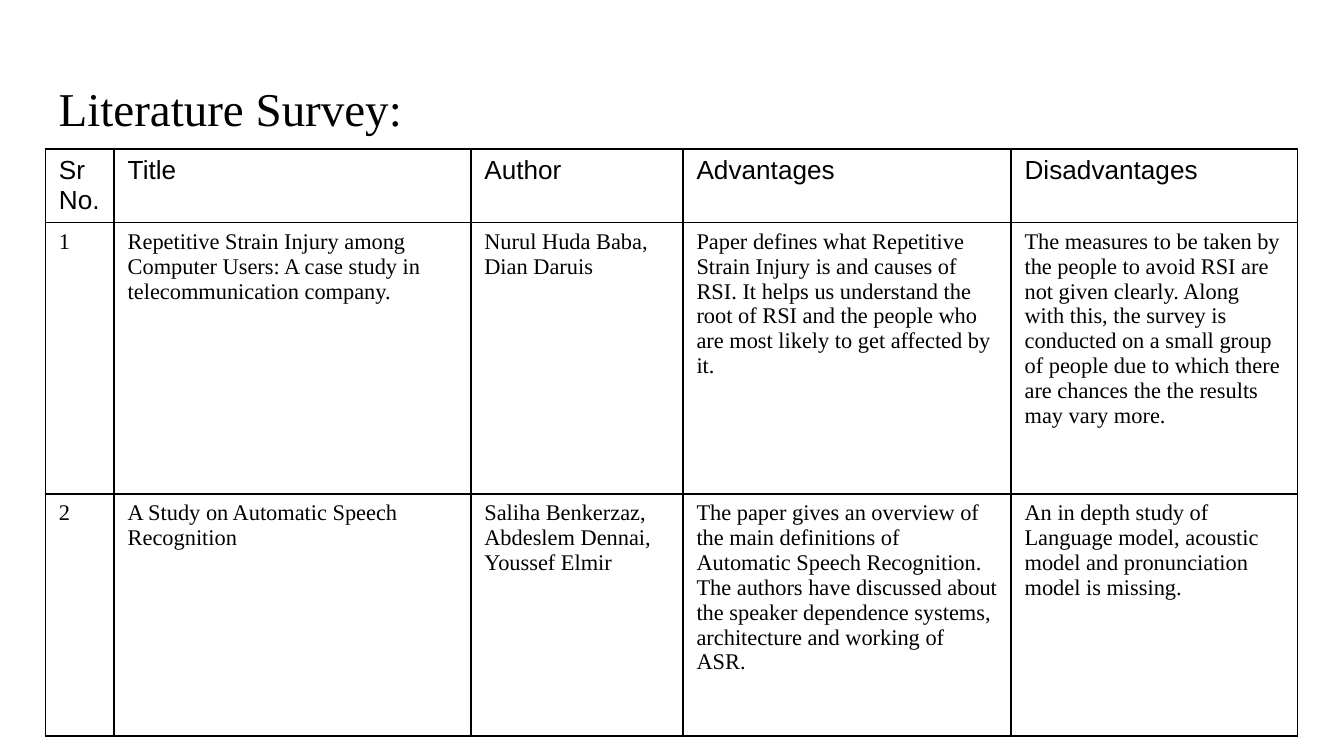
"""Build the literature survey slide: a title above a bordered table of papers."""
import dataclasses

import lxml.etree
import pptx
import pptx.dml.color
import pptx.enum.text
import pptx.oxml.ns
import pptx.util

BLACK = "000000"
SERIF = "Times New Roman"
SANS = "Arial"
LEFT = pptx.util.Cm(0.86)
WIDTH = pptx.util.Cm(23.67)
COLUMN_WIDTHS = (1.3, 6.74, 4.01, 6.2, 5.41)
ROW_HEIGHTS = (1.39, 5.13, 4.57)
HEADINGS = ("Sr No.", "Title", "Author", "Advantages", "Disadvantages")


@dataclasses.dataclass(frozen=True)
class Paper:
    number: str
    title: str
    authors: str
    advantages: str
    disadvantages: str


PAPERS = (
    Paper(
        "1",
        "Repetitive Strain Injury among Computer Users: A case study in "
        "telecommunication company.",
        "Nurul Huda Baba, Dian Daruis",
        "Paper defines what Repetitive Strain Injury is and causes of RSI. "
        "It helps us understand the root of RSI and the people who are most "
        "likely to get affected by it.",
        "The measures to be taken by the people to avoid RSI are not given "
        "clearly. Along with this, the survey is conducted on a small group of "
        "people due to which there are chances the the results may vary more.",
    ),
    Paper(
        "2",
        "A Study on Automatic Speech Recognition",
        "Saliha Benkerzaz, Abdeslem Dennai, Youssef Elmir",
        "The paper gives an overview of the main definitions of Automatic "
        "Speech Recognition. The authors have discussed about the speaker "
        "dependence systems, architecture and working of ASR.",
        "An in depth study of Language model, acoustic model and "
        "pronunciation model is missing.",
    ),
)


def color(value: str) -> pptx.dml.color.RGBColor:
    return pptx.dml.color.RGBColor.from_string(value)


def write(frame, text: str, font_name: str, size: float) -> None:
    frame.text = text
    paragraph = frame.paragraphs[0]
    paragraph.alignment = pptx.enum.text.PP_ALIGN.LEFT
    paragraph.font.name = font_name
    paragraph.font.size = pptx.util.Pt(size)
    paragraph.font.bold = False
    paragraph.font.color.rgb = color(BLACK)


def add_borders(cell, line_color: str, points: float) -> None:
    qn = pptx.oxml.ns.qn
    properties = cell._tc.get_or_add_tcPr()
    for side in ("a:lnL", "a:lnR", "a:lnT", "a:lnB"):
        line = lxml.etree.SubElement(
            properties, qn(side), w=str(pptx.util.Pt(points))
        )
        fill = lxml.etree.SubElement(line, qn("a:solidFill"))
        lxml.etree.SubElement(fill, qn("a:srgbClr"), val=line_color)


def add_title(slide, text: str) -> None:
    title = slide.shapes.title
    title.left, title.top = LEFT, pptx.util.Cm(1.24)
    title.width, title.height = WIDTH, pptx.util.Cm(1.6)
    frame = title.text_frame
    frame.margin_left = frame.margin_right = pptx.util.Cm(0.25)
    frame.margin_top = frame.margin_bottom = pptx.util.Cm(0.25)
    frame.vertical_anchor = pptx.enum.text.MSO_ANCHOR.MIDDLE
    frame.auto_size = pptx.enum.text.MSO_AUTO_SIZE.NONE
    frame.word_wrap = True
    write(frame, text, SERIF, 25.2)


def add_survey(slide, papers: tuple[Paper, ...]) -> None:
    rows = [HEADINGS, *map(dataclasses.astuple, papers)]
    survey = slide.shapes.add_table(
        len(rows), len(HEADINGS), LEFT, pptx.util.Cm(2.82),
        WIDTH, pptx.util.Cm(sum(ROW_HEIGHTS)),
    ).table
    survey.first_row = False
    survey.horz_banding = False
    for column, width in zip(survey.columns, COLUMN_WIDTHS):
        column.width = pptx.util.Cm(width)
    for row, height in zip(survey.rows, ROW_HEIGHTS):
        row.height = pptx.util.Cm(height)
    for row_index, texts in enumerate(rows):
        font_name, size = (SERIF, 12) if row_index else (SANS, 14)
        for column_index, text in enumerate(texts):
            cell = survey.cell(row_index, column_index)
            write(cell.text_frame, text, font_name, size)
            add_borders(cell, BLACK, 1)
            cell.fill.background()


def main() -> None:
    presentation = pptx.Presentation()
    presentation.slide_width = pptx.util.Cm(25.4)
    presentation.slide_height = pptx.util.Cm(14.29)
    slide = presentation.slides.add_slide(presentation.slide_layouts[5])
    add_title(slide, "Literature Survey:")
    add_survey(slide, PAPERS)
    presentation.save("out.pptx")


if __name__ == "__main__":
    main()
